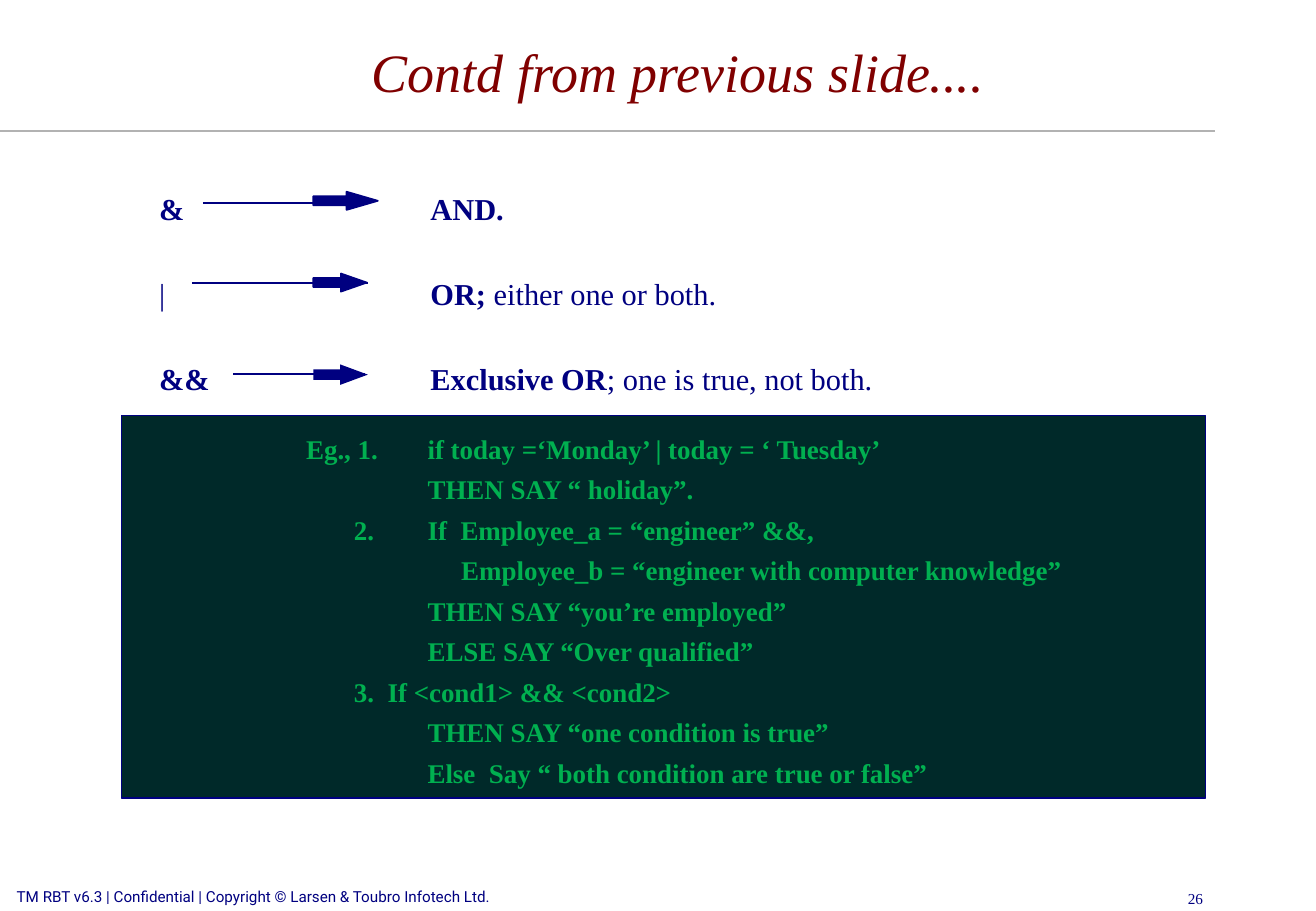
import pptx
import pptx.util
import pptx.dml.color
import pptx.enum.shapes
import pptx.enum.text
import pptx.oxml.ns
import lxml.etree

Cm, Pt = pptx.util.Cm, pptx.util.Pt
RGBColor = pptx.dml.color.RGBColor
SHAPE = pptx.enum.shapes.MSO_SHAPE
ALIGN = pptx.enum.text.PP_ALIGN
qn = pptx.oxml.ns.qn

NAVY = RGBColor(0x00, 0x00, 0x80)
MAROON = RGBColor(0x80, 0x00, 0x00)
GREY = RGBColor(0xB2, 0xB2, 0xB2)
DARK_TEAL = RGBColor(0x00, 0x29, 0x29)
GREEN = RGBColor(0x00, 0xB0, 0x50)
SERIF = "Times New Roman"

prs = pptx.Presentation()
prs.slide_width, prs.slide_height = Cm(27.51), Cm(19.05)
s = prs.slides.add_slide(prs.slide_layouts[6])


def add_text(left, top, width, height, lines, size, color, font=SERIF, tabs=(), gap=0):
    """Add a text box; each line is a list of (text, bold) runs."""
    tf = s.shapes.add_textbox(Cm(left), Cm(top), Cm(width), Cm(height)).text_frame
    tf.word_wrap = True
    for i, line in enumerate(lines):
        p = tf.paragraphs[0] if i == 0 else tf.add_paragraph()
        if tabs:
            tab_list = lxml.etree.SubElement(p._p.get_or_add_pPr(), qn("a:tabLst"))
            for pos in tabs:
                lxml.etree.SubElement(tab_list, qn("a:tab"), pos=str(Cm(pos)), algn="l")
        if i > 0:
            p.space_before = Pt(gap)
        for text, bold in line:
            r = p.add_run()
            r.text = text
            r.font.name, r.font.size, r.font.bold = font, Pt(size), bold
            r.font.color.rgb = color
    return tf


def add_line(x1, x2, y, color):
    line = s.shapes.add_connector(pptx.enum.shapes.MSO_CONNECTOR.STRAIGHT,
                                  Cm(x1), Cm(y), Cm(x2), Cm(y))
    line.line.color.rgb = color
    line.line.width = Pt(1)
    lxml.etree.SubElement(line._element.spPr, qn("a:effectLst"))


# Header rule, footer and page number
add_line(0, 25.4, 2.74, GREY)
add_text(0.1, 18.42, 11.96, 0.51,
         [[("TM RBT v6.3 | Confidential | Copyright © Larsen & Toubro Infotech Ltd.", False)]],
         9, NAVY, font="Roboto")
tf = add_text(19.48, 18.47, 5.92, 0.58, [[("26", False)]], 9, NAVY)
tf.paragraphs[0].alignment = ALIGN.RIGHT

# Title
tf = add_text(7.52, 0.25, 19.7, 2.47, [[("Contd from previous slide....", False)]], 32, MAROON)
tf.vertical_anchor = pptx.enum.text.MSO_ANCHOR.MIDDLE
tf.paragraphs[0].runs[0].font.italic = True

# Operators and their meanings
operators = [
    [("&\tAND.", True)],
    [("|\t", False), ("OR;", True), (" either one or both.", False)],
    [("&&\tExclusive OR", True), ("; one is true, not both.", False)],
]
tf = add_text(2.11, 3.85, 23.37, 4.6, operators, 18, NAVY, tabs=[5.67], gap=28.8)
tf.margin_left = Cm(1.22)

# Arrows: line start, line end, line y, head top, head width, head height, head length ratio
arrows = [
    (4.24, 7.44, 4.24, 4.01, 1.35, 0.38, 1.72),
    (4.01, 7.7, 5.92, 5.72, 1.12, 0.38, 1.43),
    (4.88, 7.62, 7.82, 7.62, 1.14, 0.43, 1.35),
]
for start, end, y, top, width, height, ratio in arrows:
    add_line(start, end, y, NAVY)
    sp = s.shapes.add_shape(SHAPE.RIGHT_ARROW, Cm(6.55), Cm(top), Cm(width), Cm(height))
    sp.adjustments[0], sp.adjustments[1] = 0.5, ratio
    sp.shadow.inherit = False
    sp.fill.solid()
    sp.fill.fore_color.rgb = NAVY
    sp.line.color.rgb = NAVY
    sp.line.width = Pt(1)
sp.line.fill.background()

# Example panel
sp = s.shapes.add_shape(SHAPE.RECTANGLE, Cm(2.54), Cm(8.69), Cm(22.66), Cm(8))
sp.shadow.inherit = False
sp.fill.solid()
sp.fill.fore_color.rgb = DARK_TEAL
sp.line.color.rgb = NAVY
sp.line.width = Pt(1)

examples = [
    "\tEg., 1.\tif today =‘Monday’ | today = ‘ Tuesday’",
    "\t\t\tTHEN SAY “ holiday”.",
    "\t\t2.\tIf  Employee_a = “engineer” &&,",
    "\t\t\t     Employee_b = “engineer with computer knowledge”",
    "\t\t\tTHEN SAY “you’re employed”",
    "\t\t\tELSE SAY “Over qualified”",
    "\t\t3.  If <cond1> && <cond2>",
    "\t\t\tTHEN SAY “one condition is true”",
    "\t\t\tElse  Say “ both condition are true or false”",
]
add_text(3.61, 8.92, 18.87, 7.47, [[(text, True)] for text in examples],
         16, GREEN, tabs=[2.54, 3.54, 5.08], gap=4.8)

prs.save("out.pptx")
